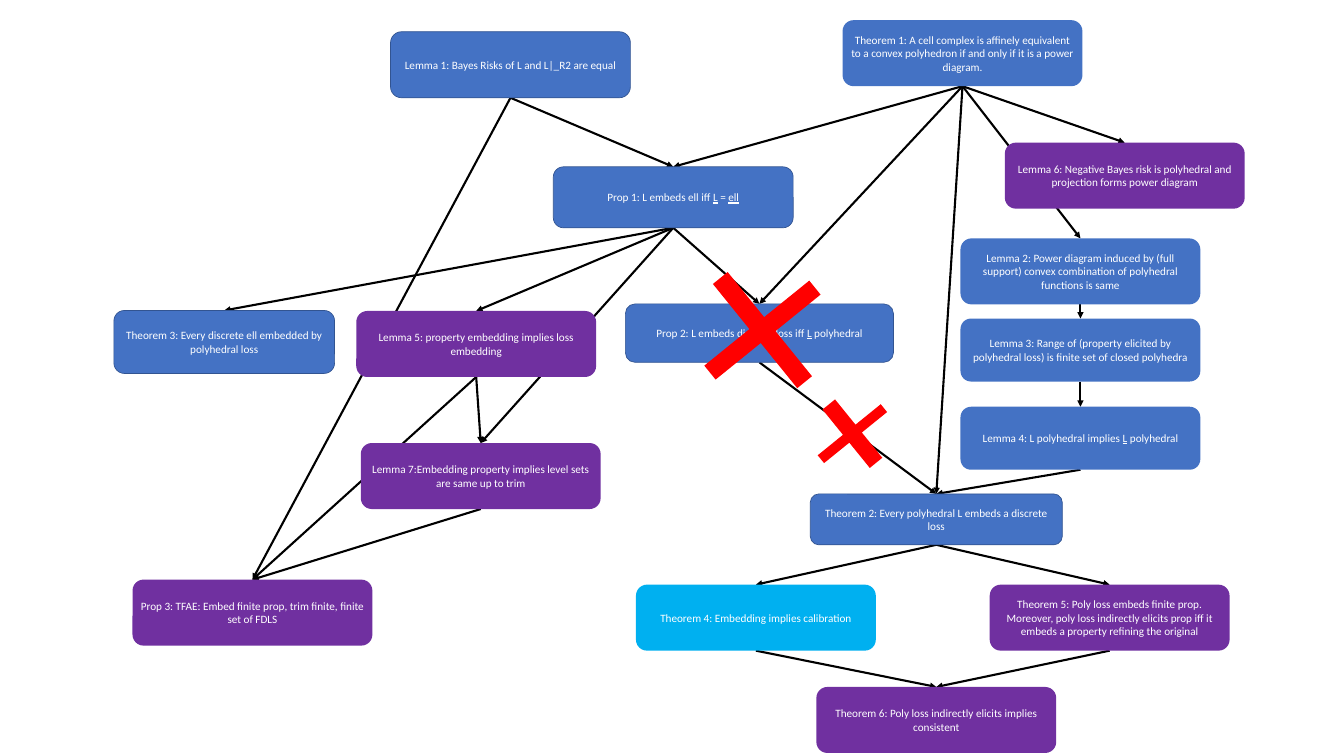
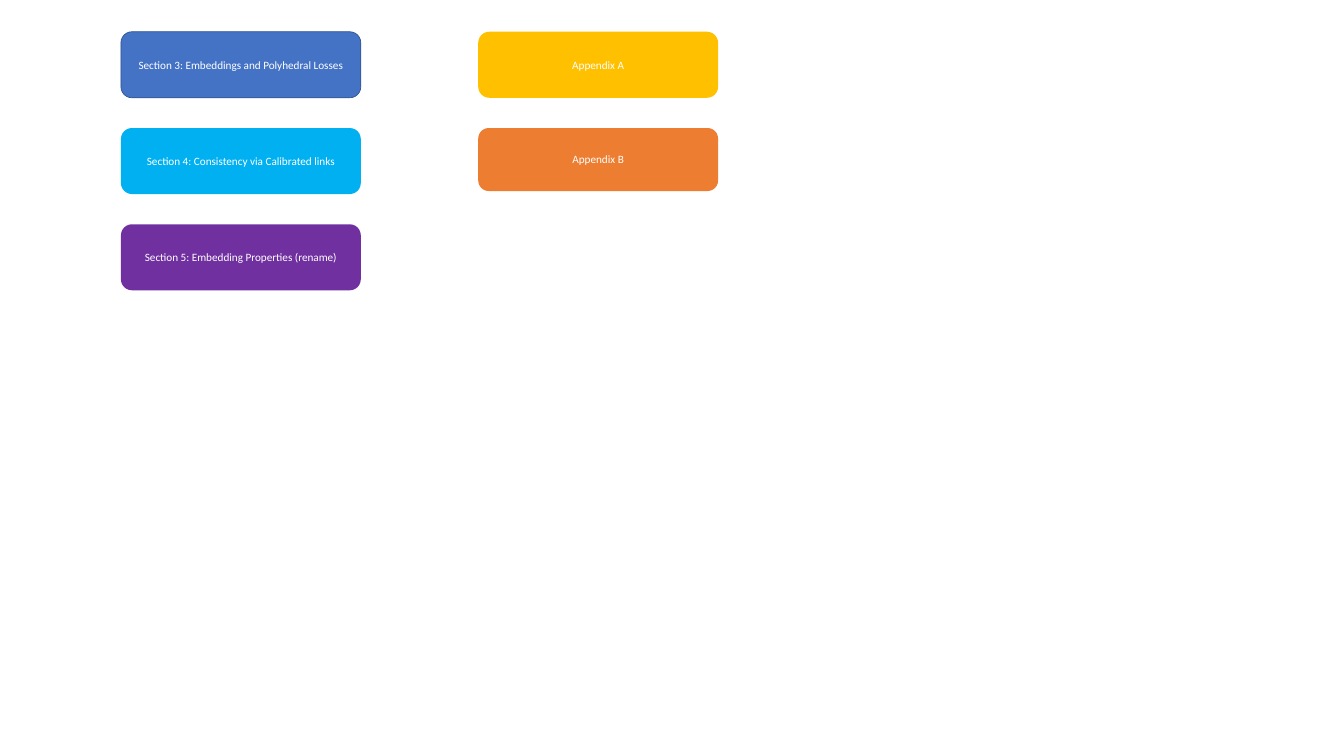
from dataclasses import dataclass

from lxml import etree
from pptx import Presentation
from pptx.dml.color import RGBColor
from pptx.enum.shapes import MSO_CONNECTOR, MSO_SHAPE
from pptx.enum.text import MSO_ANCHOR, PP_ALIGN
from pptx.oxml.ns import qn
from pptx.util import Inches, Pt

ROUNDED, CROSS = MSO_SHAPE.ROUNDED_RECTANGLE, MSO_SHAPE.CROSS
STRAIGHT = MSO_CONNECTOR.STRAIGHT
MIDDLE, CENTER = MSO_ANCHOR.MIDDLE, PP_ALIGN.CENTER
TOP_SITE, BOTTOM_SITE = 0, 2

# The slide is a grid of one-inch columns and rows.
COLS, ROWS = 26.67, 15
BOX_W, BOX_H = 4.76, 1.31

BLUE, CYAN, PURPLE = "4472C4", "00B0F0", "7030A0"
ORANGE, GOLD = "ED7D31", "FFC000"
EDGE, RED, BLACK, WHITE = "325491", "FF0000", "000000", "FFFFFF"
FONT = {"name": "Calibri", "size": Pt(16)}
BLANK_LAYOUT = 6


@dataclass
class Box:
    """A rounded box hung from the middle of its top edge; *x* underlines x."""
    text: str
    center: float
    top: float
    fill: str = BLUE
    width: float = BOX_W
    height: float = BOX_H
    edge: bool = False


@dataclass
class Strike:
    """A turned red cross that marks a dropped item."""
    left: float
    top: float
    width: float
    height: float


STATEMENTS = {
    "L1": Box("Lemma 1: Bayes Risks of L and L|_R2 are equal", 10.13, 0.63, edge=True),
    "T1": Box("Theorem 1: A cell complex is affinely equivalent to a convex "
              "polyhedron if and only if it is a power diagram.", 19.1, 0.4),
    "P1": Box("Prop 1: L embeds ell iff *L* = *ell*", 13.36, 3.31, height=1.21, edge=True),
    "P2": Box("Prop 2: L embeds discrete loss iff *L* polyhedral", 15.07, 6.03,
              width=5.32, height=1.16, edge=True),
    "T3": Box("Theorem 3: Every discrete ell embedded by polyhedral loss", 4.45, 6.16,
              width=4.38, height=1.25, edge=True),
    "L6": Box("Lemma 6: Negative Bayes risk is polyhedral and projection forms "
              "power diagram", 22.32, 2.83, PURPLE),
    "L2": Box("Lemma 2: Power diagram induced by (full support) convex combination "
              "of polyhedral functions is same", 21.44, 4.73),
    "L3": Box("Lemma 3: Range of (property elicited by polyhedral loss) is finite "
              "set of closed polyhedra", 21.44, 6.32, height=1.25),
    "L4": Box("Lemma 4: L polyhedral implies *L* polyhedral", 21.44, 8.07, height=1.25),
    "L5": Box("Lemma 5: property embedding implies loss embedding", 9.45, 6.17, PURPLE),
    "L7": Box("Lemma 7:Embedding property implies level sets are same up to trim",
              9.54, 8.79, PURPLE),
    "P3": Box("Prop 3: TFAE: Embed finite prop, trim finite, finite set of FDLS",
              5.01, 11.5, PURPLE),
    "T2": Box("Theorem 2: Every polyhedral L embeds a discrete loss", 18.58, 9.8,
              width=5, height=1.01, edge=True),
    "T4": Box("Theorem 4: Embedding implies calibration", 15, 11.6, CYAN),
    "T5": Box("Theorem 5: Poly loss embeds finite prop. Moreover, poly loss indirectly "
              "elicits prop iff it embeds a property refining the original",
              22.02, 11.6, PURPLE),
    "T6": Box("Theorem 6: Poly loss indirectly elicits implies consistent",
              18.58, 13.63, PURPLE),
}

# Each statement and those that follow from it.
IMPLIES = {
    "L1": ["P3", "P1"],
    "T1": ["L2", "P1", "P2", "L6", "T2"],
    "P1": ["P2", "T3", "L5", "L7"],
    "P2": ["T2"],
    "L2": ["L3"],
    "L3": ["L4"],
    "L4": ["T2"],
    "L5": ["P3", "L7"],
    "L7": ["P3"],
    "T2": ["T5", "T4"],
    "T4": ["T6"],
    "T5": ["T6"],
}

STRIKES = [Strike(13.8, 5.21, 2.66, 2.68), Strike(16.17, 7.8, 1.49, 1.61)]

# Legend columns: center column, then the entries from top to bottom.
LEGEND_TOP, LEGEND_STEP = 0.63, 1.91
LEGEND = {
    4.78: [("Section 3: Embeddings and Polyhedral Losses", BLUE, BOX_H),
           ("Section 4: Consistency via Calibrated links", CYAN, BOX_H),
           ("Section 5: Embedding Properties (rename)", PURPLE, BOX_H)],
    11.87: [("Appendix A", GOLD, BOX_H), ("Appendix B", ORANGE, 1.25)],
}


def rgb(color: str) -> RGBColor:
    """Turn a hex string into a colour."""
    return RGBColor.from_string(color)


def add_filled(s, kind, left: float, top: float, width: float, height: float, fill: str):
    """Add a flat preset shape without outline."""
    sp = s.shapes.add_shape(kind, *map(Inches, (left, top, width, height)))
    sp.shadow.inherit = False
    sp.fill.solid()
    sp.fill.fore_color.rgb = rgb(fill)
    sp.line.fill.background()
    return sp


def add_box(s, box: Box):
    """Draw a box with its centred text."""
    sp = add_filled(s, ROUNDED, box.center - box.width / 2, box.top,
                    box.width, box.height, box.fill)
    if box.edge:
        sp.line.color.rgb = rgb(EDGE)
        sp.line.width = Pt(1)
    tf = sp.text_frame
    tf.word_wrap = True
    tf.vertical_anchor = MIDDLE
    p = tf.paragraphs[0]
    p.alignment = CENTER
    for i, part in enumerate(box.text.split("*")):
        if not part:
            continue
        r = p.add_run()
        r.text = part
        for name, value in {**FONT, "underline": i % 2 == 1}.items():
            setattr(r.font, name, value)
        r.font.color.rgb = rgb(WHITE)
    return sp


def add_arrow(s, source, target) -> None:
    """Glue an arrow from a box's bottom to another's top, behind all boxes."""
    line = s.shapes.add_connector(STRAIGHT, 0, 0, 0, 0)
    line.begin_connect(source, BOTTOM_SITE)
    line.end_connect(target, TOP_SITE)
    line.line.color.rgb = rgb(BLACK)
    line.line.width = Pt(3)
    etree.SubElement(line.line._get_or_add_ln(), qn("a:tailEnd"), type="triangle")
    etree.SubElement(line._element.spPr, qn("a:effectLst"))
    tree = line._element.getparent()
    tree.insert(2, line._element)


def add_strike(s, strike: Strike) -> None:
    """Draw a red cross."""
    sp = add_filled(s, CROSS, strike.left, strike.top, strike.width, strike.height, RED)
    sp.adjustments[0] = 0.433
    sp.rotation = 51


def draw_proof_map(s) -> None:
    """Draw the statements, what follows from what, and the strikes."""
    boxes = {key: add_box(s, box) for key, box in STATEMENTS.items()}
    for source, targets in IMPLIES.items():
        for target in targets:
            add_arrow(s, boxes[source], boxes[target])
    for strike in STRIKES:
        add_strike(s, strike)


def draw_legend(s) -> None:
    """Draw the colour key of the paper's sections."""
    for center, entries in LEGEND.items():
        for row, (text, fill, height) in enumerate(entries):
            add_box(s, Box(text, center, LEGEND_TOP + row * LEGEND_STEP, fill,
                           height=height, edge=fill == BLUE))


prs = Presentation()
prs.slide_width, prs.slide_height = Inches(COLS), Inches(ROWS)
for draw in (draw_proof_map, draw_legend):
    draw(prs.slides.add_slide(prs.slide_layouts[BLANK_LAYOUT]))
prs.save("out.pptx")
